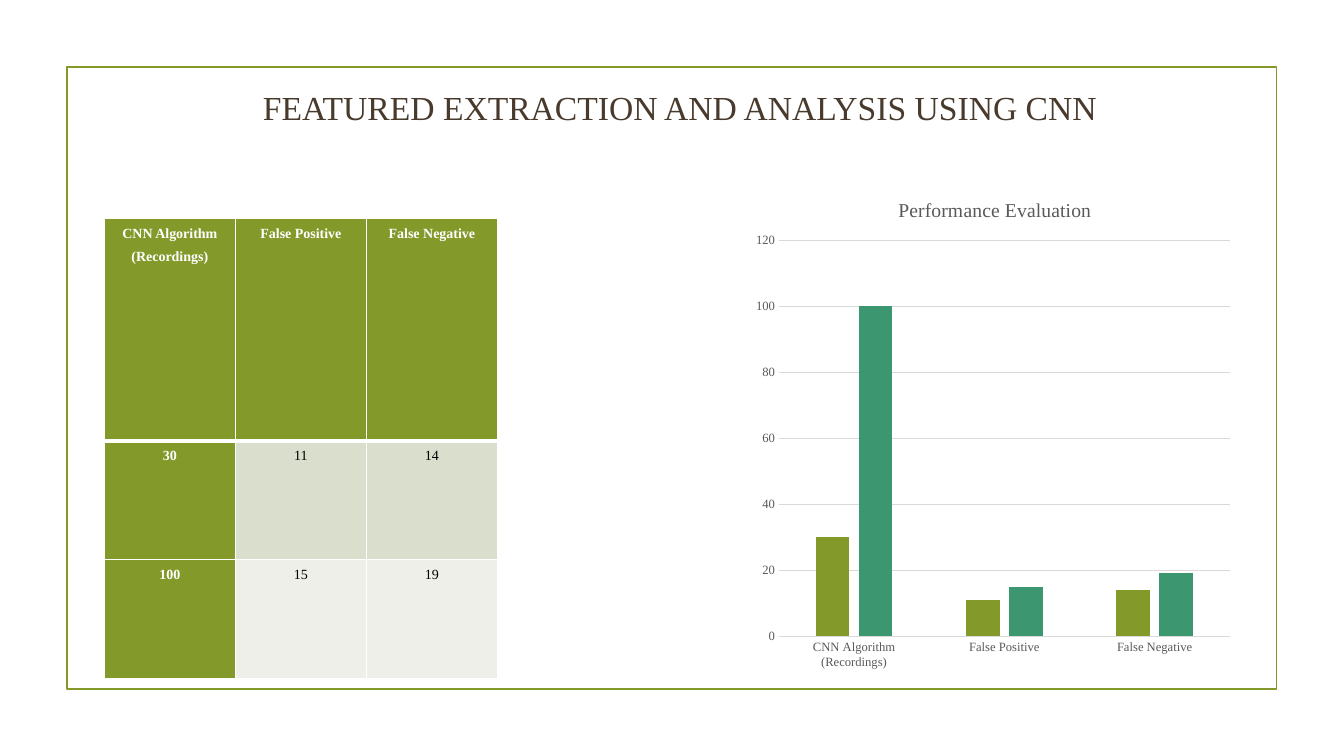
from lxml import etree
from pptx import Presentation
from pptx.chart.data import CategoryChartData
from pptx.dml.color import RGBColor
from pptx.enum.chart import XL_CHART_TYPE as ChartType, XL_TICK_MARK as TickMark
from pptx.enum.shapes import MSO_SHAPE as Shape
from pptx.enum.text import PP_ALIGN as Align
from pptx.oxml.ns import qn
from pptx.util import Pt

OLIVE = RGBColor(0x83, 0x99, 0x2A)
TEAL = RGBColor(0x3C, 0x97, 0x70)
BROWN = RGBColor(0x48, 0x3A, 0x2C)
WHITE = RGBColor(0xFF, 0xFF, 0xFF)
BLACK = RGBColor(0, 0, 0)
GREY = RGBColor(0x59, 0x59, 0x59)
GRID = RGBColor(0xD9, 0xD9, 0xD9)
BANDS = [RGBColor(0xD9, 0xDE, 0xCD), RGBColor(0xED, 0xEF, 0xE8)]

FACE = "Times New Roman"
MEASURES = ["CNN Algorithm (Recordings)", "False Positive", "False Negative"]
RESULTS = [[30, 11, 14], [100, 15, 19]]


def style_font(font, size, color, bold=False):
    """Set face, size, colour and weight of a font."""
    font.name, font.size, font.bold = FACE, Pt(size), bold
    font.color.rgb = color


def add_frame(slide, left, top, width, height):
    """Draw the outline round the slide content."""
    frame = slide.shapes.add_shape(Shape.RECTANGLE, Pt(left), Pt(top), Pt(width), Pt(height))
    frame.shadow.inherit = False
    frame.fill.background()
    frame.line.color.rgb = OLIVE
    frame.line.width = Pt(1.25)


def add_heading(slide, left, top, width, height):
    """Write the slide heading with its left indent."""
    heading = slide.shapes.add_textbox(Pt(left), Pt(top), Pt(width), Pt(height)).text_frame
    heading.word_wrap = True
    heading.text = "FEATURED EXTRACTION AND ANALYSIS USING CNN"
    line = heading.paragraphs[0]
    line._p.get_or_add_pPr().set("marL", str(Pt(36)))
    style_font(line.runs[0].font, 24, BROWN)


def add_borders(cell, top, bottom):
    """Give a cell white borders with the given top and bottom widths."""
    properties = cell._tc.get_or_add_tcPr()
    widths = {"a:lnL": 1, "a:lnR": 1, "a:lnT": top, "a:lnB": bottom}
    for position, (side, width) in enumerate(widths.items()):
        border = etree.Element(qn(side), w=str(Pt(width)))
        fill = etree.SubElement(border, qn("a:solidFill"))
        etree.SubElement(fill, qn("a:srgbClr"), val=str(WHITE))
        properties.insert(position, border)


def add_results_table(slide, left, top, width, height):
    """Build the table of false positives and negatives."""
    rows = [MEASURES] + RESULTS
    table = slide.shapes.add_table(
        len(rows), len(MEASURES), Pt(left), Pt(top), Pt(width), Pt(height)).table
    header_height = 158.6
    for column in table.columns:
        column.width = Pt(width / len(MEASURES))
    for r, values in enumerate(rows):
        table.rows[r].height = Pt(header_height if r == 0 else (height - header_height) / len(RESULTS))
        for c, value in enumerate(values):
            cell = table.cell(r, c)
            is_label = r == 0 or c == 0
            cell.fill.solid()
            cell.fill.fore_color.rgb = OLIVE if is_label else BANDS[r - 1]
            cell.margin_left = cell.margin_right = Pt(5)
            cell.margin_top = cell.margin_bottom = 0
            cell.text_frame.text = str(value)
            line = cell.text_frame.paragraphs[0]
            line.alignment = Align.CENTER
            line.line_spacing = 1.5
            style_font(line.runs[0].font, 10, WHITE if is_label else BLACK, is_label)
            add_borders(cell, 3 if r == 1 else 1, 3 if r == 0 else 1)


def set_layout(part, index, **settings):
    """Fix the place of a chart part as fractions of the chart."""
    for automatic in part.findall(qn("c:layout")):
        part.remove(automatic)
    layout = etree.Element(qn("c:layout"))
    manual = etree.SubElement(layout, qn("c:manualLayout"))
    for name, value in settings.items():
        etree.SubElement(manual, qn(f"c:{name}"), val=str(value))
    part.insert(index, layout)


def add_performance_chart(slide, left, top, width, height):
    """Build the clustered columns that compare the two recordings."""
    data = CategoryChartData()
    data.categories = MEASURES
    for number, values in enumerate(RESULTS, 1):
        data.add_series(f"Series {number}", values)
    chart = slide.shapes.add_chart(
        ChartType.COLUMN_CLUSTERED, Pt(left), Pt(top), Pt(width), Pt(height), data).chart
    style_font(chart.font, 10, BLACK)
    chart.has_legend = False
    chart.has_title = True
    title = chart.chart_title
    title.text_frame.text = "Performance Evaluation"
    style_font(title.text_frame.paragraphs[0].runs[0].font, 14, GREY)
    set_layout(title._element, 1, xMode="edge", yMode="edge", x=0.3, y=0.04)
    set_layout(chart._chartSpace.chart.plotArea, 0, layoutTarget="inner",
               xMode="edge", yMode="edge", x=0.065, y=0.132, w=0.915, h=0.783)

    plot = chart.plots[0]
    plot.vary_by_categories = False
    plot.gap_width, plot.overlap = 219, -27
    for series, color in zip(plot.series, [OLIVE, TEAL]):
        series.format.fill.solid()
        series.format.fill.fore_color.rgb = color

    categories, scale = chart.category_axis, chart.value_axis
    for axis in (categories, scale):
        axis.major_tick_mark = axis.minor_tick_mark = TickMark.NONE
        style_font(axis.tick_labels.font, 9, GREY)
    scale.minimum_scale, scale.maximum_scale, scale.major_unit = 0, 120, 20
    scale.format.line.fill.background()
    for line in (categories.format.line, scale.major_gridlines.format.line):
        line.color.rgb = GRID
        line.width = Pt(0.75)


def main():
    """Create the presentation and save it."""
    deck = Presentation()
    deck.slide_width, deck.slide_height = Pt(960), Pt(540)
    slide = deck.slides.add_slide(deck.slide_layouts[6])
    add_frame(slide, 47.8, 48, 864, 444)
    add_heading(slide, 144.7, 58.3, 670.3, 36)
    add_performance_chart(slide, 533.5, 123.8, 352, 361.4)
    add_results_table(slide, 74.5, 156.2, 280.8, 328.6)
    deck.save("out.pptx")


if __name__ == "__main__":
    main()
